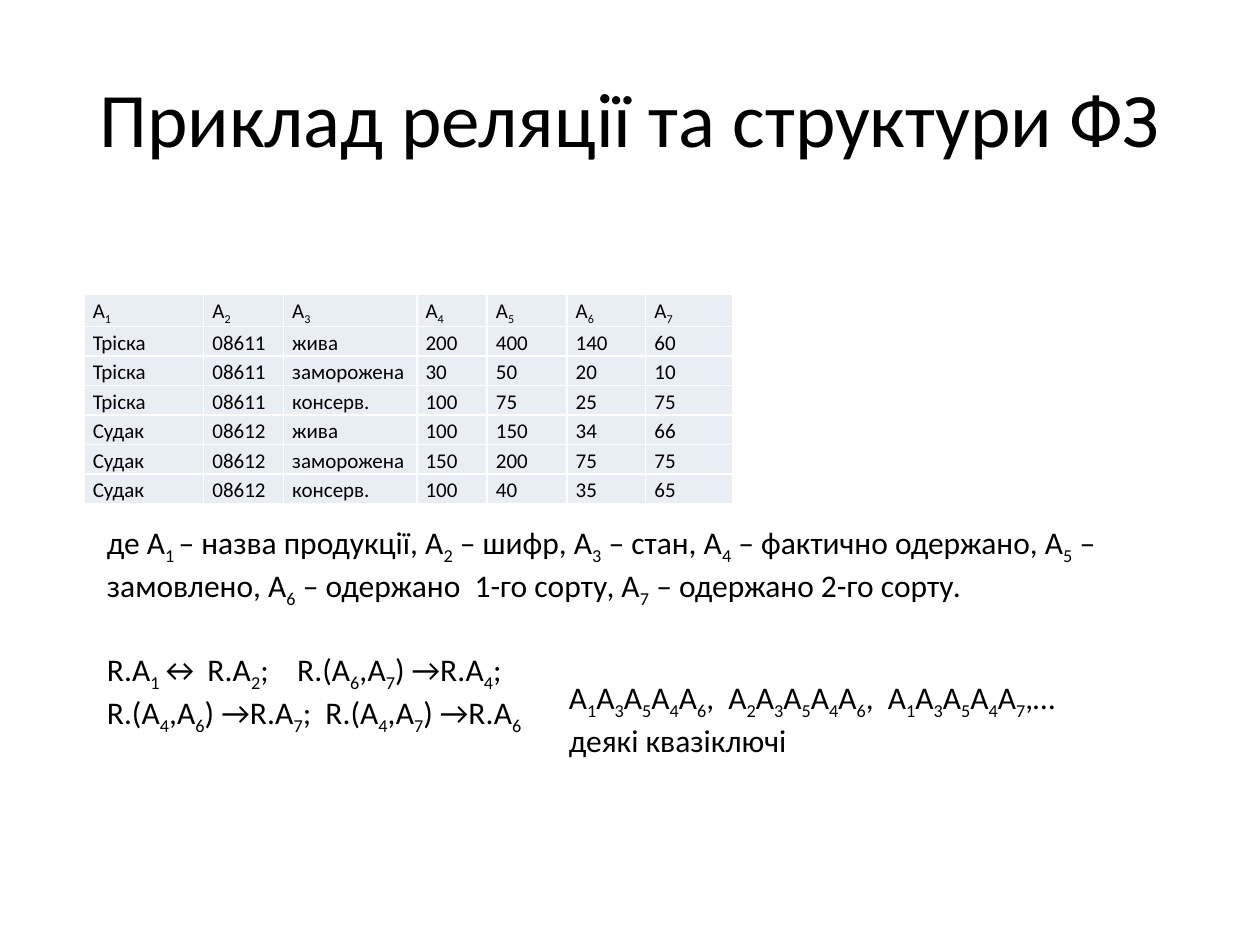
from dataclasses import dataclass

from lxml import etree
from pptx import Presentation
from pptx.dml.color import RGBColor
from pptx.enum import text
from pptx.oxml import ns
from pptx import util as u


@dataclass(frozen=True)
class Theme:
    """Colours, font and type sizes of the slide."""
    font: str = "Calibri"
    ink: str = "000000"
    cell: str = "E9EDF4"
    border: str = "FFFFFF"
    title: int = 44
    body: int = 18
    table: int = 12


def write(frame, content, *, size, theme, align=None, spacing=None):
    """Fill a text frame; lines become paragraphs, {braces} mark subscripts."""
    for number, line in enumerate(content.split("\n")):
        para = frame.add_paragraph() if number else frame.paragraphs[0]
        para.alignment = align
        para.line_spacing = spacing
        for index, part in enumerate(line.replace("}", "{").split("{")):
            if not part:
                continue
            span = para.add_run()
            span.text = part
            span.font.name = theme.font
            span.font.size = u.Pt(size)
            span.font.color.rgb = RGBColor.from_string(theme.ink)
            if index % 2:
                span.font._element.set("baseline", "-25000")


class Page:
    """One slide, laid out on a grid of 120 columns by 90 rows."""
    COLUMNS, ROWS = 120, 90

    def __init__(self, deck, theme):
        """Add a title-only slide to the deck."""
        self.theme = theme
        self.slide = deck.slides.add_slide(deck.slide_layouts[5])
        self.column = deck.slide_width / self.COLUMNS
        self.row = deck.slide_height / self.ROWS

    def place(self, left, top, width, height):
        """Turn grid units into lengths."""
        return (round(left * self.column), round(top * self.row),
                round(width * self.column), round(height * self.row))

    def title(self, content, *area):
        """Move and fill the title placeholder."""
        box = self.slide.shapes.title
        box.left, box.top, box.width, box.height = self.place(*area)
        box.text_frame.vertical_anchor = text.MSO_ANCHOR.MIDDLE
        write(box.text_frame, content, size=self.theme.title,
              theme=self.theme, align=text.PP_ALIGN.CENTER)

    def note(self, content, *area):
        """Add a wrapped text box."""
        frame = self.slide.shapes.add_textbox(*self.place(*area)).text_frame
        frame.word_wrap = True
        frame.auto_size = text.MSO_AUTO_SIZE.SHAPE_TO_FIT_TEXT
        write(frame, content, size=self.theme.body, theme=self.theme)

    def table(self, records, widths, left, top, height):
        """Add a table with one fill and thin borders."""
        area = self.place(left, top, sum(widths), height)
        grid = self.slide.shapes.add_table(len(records), len(widths), *area).table
        for column, width in zip(grid.columns, widths):
            column.width = round(width * self.column)
        for row, record in enumerate(records):
            for column, content in enumerate(record):
                self.fill_cell(grid.cell(row, column), content)

    def fill_cell(self, cell, content):
        """Format one table cell and write its text."""
        cell.margin_left = cell.margin_right = u.Inches(0.07)
        cell.margin_top = cell.margin_bottom = 0
        for side in ("a:lnL", "a:lnR", "a:lnT", "a:lnB"):
            line = etree.SubElement(cell._tc.get_or_add_tcPr(), ns.qn(side),
                                    w=str(u.Pt(1)))
            solid = etree.SubElement(line, ns.qn("a:solidFill"))
            etree.SubElement(solid, ns.qn("a:srgbClr"), val=self.theme.border)
        cell.fill.solid()
        cell.fill.fore_color.rgb = RGBColor.from_string(self.theme.cell)
        write(cell.text_frame, content, size=self.theme.table,
              theme=self.theme, spacing=1.15)


FISH_RELATION = [
    [f"А{{{number}}}" for number in range(1, 8)],
    ["Тріска", "08611", "жива", "200", "400", "140", "60"],
    ["Тріска", "08611", "заморожена", "30", "50", "20", "10"],
    ["Тріска", "08611", "консерв.", "100", "75", "25", "75"],
    ["Судак", "08612", "жива", "100", "150", "34", "66"],
    ["Судак", "08612", "заморожена", "150", "200", "75", "75"],
    ["Судак", "08612", "консерв.", "100", "40", "35", "65"],
]
LEGEND = ("де А{1 }– назва продукції, А{2} – шифр, А{3} – стан, "
          "А{4} – фактично одержано, А{5} – замовлено, "
          "А{6} – одержано  1-го сорту, А{7} – одержано 2-го сорту.")
DEPENDENCIES = ("R.A{1}↔ R.A{2};    R.(A{6},A{7}) →R.A{4}; \n"
                "R.(A{4},A{6}) →R.A{7};  R.(A{4},A{7}) →R.A{6}")
QUASI_KEYS = ",  ".join(f"А{{{first}}}А{{3}}А{{5}}A{{4}}A{{{last}}}"
                        for first, last in ((1, 6), (2, 6), (1, 7)))


def main():
    """Build the slide and save it."""
    deck = Presentation()
    deck.slide_width, deck.slide_height = u.Inches(10), u.Inches(7.5)
    page = Page(deck, Theme())
    page.title("Приклад реляції та структури ФЗ", 6, 3.6, 108, 15)
    page.table(FISH_RELATION, [11.4, 7.6, 12.7, 6.7, 7.6, 7.5, 8.3], 8, 28, 18)
    page.note(LEGEND, 9, 49.2, 105, 12.1)
    page.note(DEPENDENCIES, 9, 61.3, 103, 12.1)
    page.note(QUASI_KEYS + ",… \nдеякі квазіключі", 53, 64, 52, 8.5)
    deck.save("out.pptx")


main()
